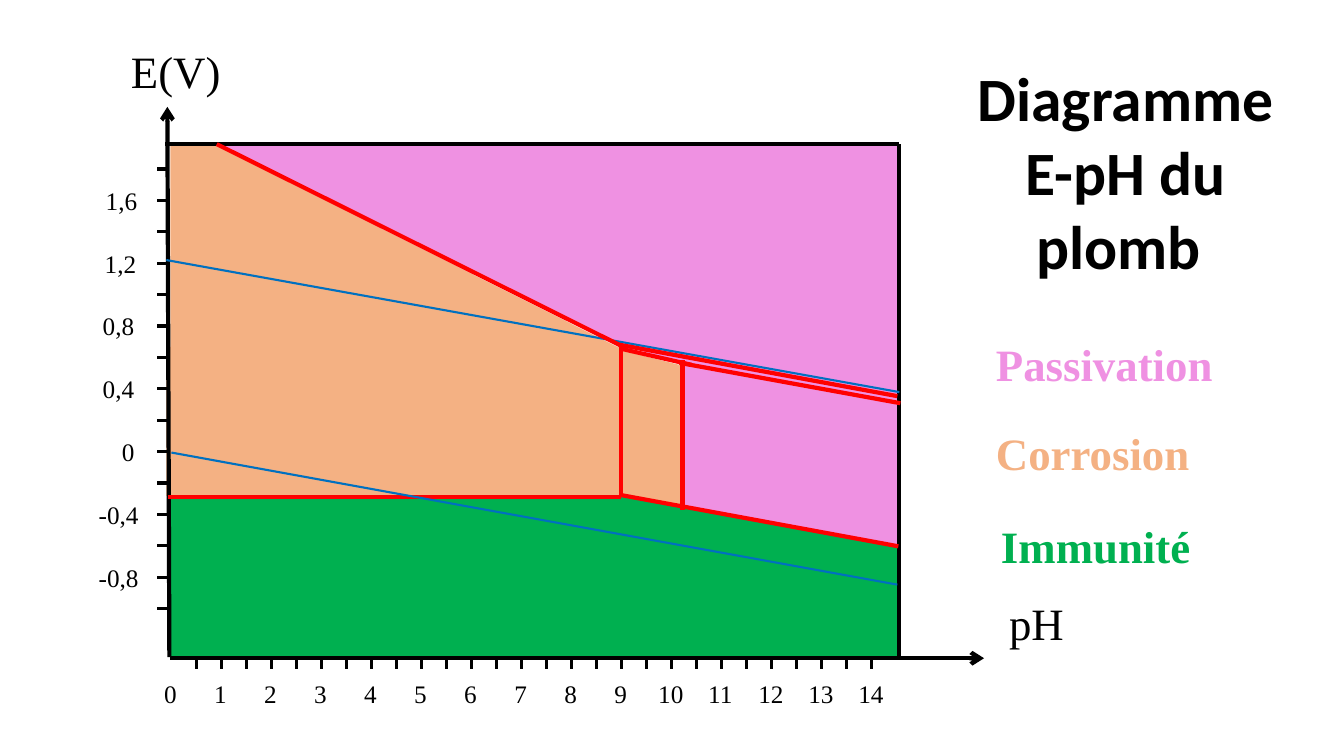
from lxml import etree
from pptx import Presentation
from pptx.dml.color import RGBColor
from pptx.enum.shapes import MSO_CONNECTOR, MSO_SHAPE
from pptx.enum.text import MSO_AUTO_SIZE, PP_ALIGN
from pptx.oxml.ns import qn
from pptx.util import Inches, Pt

RECT = MSO_SHAPE.RECTANGLE
TRIANGLE = MSO_SHAPE.ISOSCELES_TRIANGLE
STRAIGHT = MSO_CONNECTOR.STRAIGHT
GROW = MSO_AUTO_SIZE.SHAPE_TO_FIT_TEXT
LEFT, CENTER = PP_ALIGN.LEFT, PP_ALIGN.CENTER

BLACK, RED, BLUE = "000000", "FF0000", "0070C0"
PASSIVATION, CORROSION, IMMUNITY = "EF91E2", "F4B183", "00B050"

# Axis scales, in inches from the plot's top left corner
PH_STEP = 0.496
E_STEP = 1.557
E_ZERO = 3.05
PLOT_HEIGHT = 5.09

# Areas: colour, left, top, width, height, rotation (None for a rectangle)
AREAS = [
    (PASSIVATION, 5.09, 1.86, 2.13, 1.77, None),
    (PASSIVATION, 4.42, 1.98, 2.77, 0.83, 180),
    (PASSIVATION, 0.45, 0.02, 4.01, 1.96, 180),
    (CORROSION, 4.46, 2.19, 0.62, 1.29, None),
    (CORROSION, 4.44, 2.04, 0.6, 0.15, 0),
    (CORROSION, 4.46, 3.46, 0.6, 0.15, 180),
    (CORROSION, 0.45, 0.02, 3.99, 2, 0),
    (CORROSION, -0.01, 0, 0.48, 2.23, None),
    (PASSIVATION, 4.45, -0.01, 2.76, 2.01, None),
    (PASSIVATION, 5.05, 3.58, 2.16, 0.42, 180),
    (CORROSION, -0.05, 2.01, 4.49, 1.48, None),
    (IMMUNITY, -0.01, 3.5, 4.48, 1.59, None),
    (IMMUNITY, 4.45, 3.48, 2.77, 0.5, 0),
    (IMMUNITY, 4.46, 3.97, 2.74, 1.12, None),
]

# Frame, boundaries and water lines: colour, weight, x1, y1, x2, y2
BOUNDARIES = [
    (BLACK, 3, -0.06, 0, 7.22, 0),
    (BLACK, 3, 7.22, 0, 7.22, PLOT_HEIGHT),
    (RED, 3, -0.03, 3.5, 4.46, 3.5),
    (RED, 3, 4.45, 3.48, 7.21, 3.99),
    (BLUE, 1.5, 0, 3.06, 7.2, 4.37),
    (BLUE, 1.5, -0.05, 1.15, 7.22, 2.46),
    (RED, 3, 4.46, 2.01, 4.46, 3.5),
    (RED, 3, 5.07, 2.14, 5.07, 3.63),
    (RED, 3, 5.04, 2.17, 7.23, 2.57),
    (RED, 3, 4.44, 1.99, 7.2, 2.5),
    (RED, 3, 0.45, 0, 4.46, 2),
    (RED, 3, 4.46, 2.03, 5.16, 2.19),
]

# Potential labels: text, value, left
E_LABELS = [("1,6", 1.6, -0.75), ("1,2", 1.2, -0.76), ("0,8", 0.8, -0.78),
            ("0,4", 0.4, -0.78), ("0", 0, -0.59), ("-0,4", -0.4, -0.82),
            ("-0,8", -0.8, -0.82)]


def rgb(value):
    return RGBColor.from_string(value)


def add_text(slide, text, x, y, w, h, size=18, name="Times New Roman",
             color=BLACK, bold=False, align=LEFT, wrap=True):
    tf = slide.shapes.add_textbox(*map(Inches, (x, y, w, h))).text_frame
    tf.word_wrap = wrap
    tf.auto_size = GROW
    p = tf.paragraphs[0]
    p.alignment = align
    r = p.add_run()
    r.text = text
    for key, value in {"size": Pt(size), "name": name, "bold": bold}.items():
        setattr(r.font, key, value)
    r.font.color.rgb = rgb(color)


def add_line(slide, color, weight, x1, y1, x2, y2, arrow=False):
    line = slide.shapes.add_connector(STRAIGHT, *map(Inches, (x1, y1, x2, y2)))
    line.line.color.rgb = rgb(color)
    line.line.width = Pt(weight)
    sp_pr = line._element.spPr
    if arrow:
        etree.SubElement(sp_pr.find(qn("a:ln")), qn("a:tailEnd"), type="arrow")
    etree.SubElement(sp_pr, qn("a:effectLst"))


def add_areas(slide, x, y):
    for color, dx, dy, w, h, rotation in AREAS:
        kind = RECT if rotation is None else TRIANGLE
        sp = slide.shapes.add_shape(
            kind, *map(Inches, (x + dx, y + dy, w, h)))
        if kind == TRIANGLE:
            sp.adjustments[0] = 0
            sp.rotation = rotation
        sp.shadow.inherit = False
        sp.fill.solid()
        sp.fill.fore_color.rgb = rgb(color)
        sp.line.fill.background()


def add_ph_axis(slide, x, y):
    add_line(slide, BLACK, 3, x - 0.01, y, x + 8.06, y, arrow=True)
    for half in range(1, 29):
        tick = x + half * PH_STEP / 2
        add_line(slide, BLACK, 2.25, tick, y, tick, y + 0.11)
    for ph in range(15):
        shift, width = (0.17, 0.32) if ph < 10 else (0.23, 0.48)
        add_text(slide, str(ph), x + ph * PH_STEP - shift, y + 0.15, width, 0.4)
    add_text(slide, "pH", x + 8.21, y - 0.67, 1.29, 0.64, size=32)


def add_potential_axis(slide, x, y):
    add_line(slide, BLACK, 3, x - 0.02, y + PLOT_HEIGHT, x - 0.04, y - 0.37,
             arrow=True)
    for fifth in range(-5, 10):
        tick = y + E_ZERO - fifth * E_STEP / 5
        add_line(slide, BLACK, 2.25, x - 0.02, tick, x - 0.14, tick)
    add_text(slide, "E(V)", x - 0.5, y - 1.05, 1.19, 0.64, size=32)
    for text, value, dx in E_LABELS:
        add_text(slide, text, x + dx, y + E_ZERO - value * E_STEP - 0.2,
                 0.69, 0.4)


def add_diagram(slide, x, y):
    add_areas(slide, x, y)
    add_ph_axis(slide, x, y + PLOT_HEIGHT + 0.01)
    add_potential_axis(slide, x, y)
    for color, weight, x1, y1, x2, y2 in BOUNDARIES:
        add_line(slide, color, weight, x + x1, y + y1, x + x2, y + y2)


def add_legend(slide, x, y):
    entries = [("Passivation", PASSIVATION, 0, 0, 2.37),
               ("Corrosion", CORROSION, 0, 0.88, 2.14),
               ("Immunité", IMMUNITY, 0.05, 1.81, 2.1)]
    for text, color, dx, dy, width in entries:
        add_text(slide, text, x + dx, y + dy, width, 0.64, size=32,
                 color=color, bold=True, wrap=False)


def main():
    prs = Presentation()
    prs.slide_width, prs.slide_height = Inches(13.33), Inches(7.5)
    slide = prs.slides.add_slide(prs.slide_layouts[6])
    add_diagram(slide, 1.7, 1.43)
    add_legend(slide, 9.78, 3.29)
    # Title; the closing space is part of the centred text
    add_text(slide, "Diagramme E-pH du plomb ", 9.5, 0.55, 3.33, 2.32,
             size=44, name="Calibri", bold=True, align=CENTER)
    prs.save("out.pptx")


if __name__ == "__main__":
    main()
